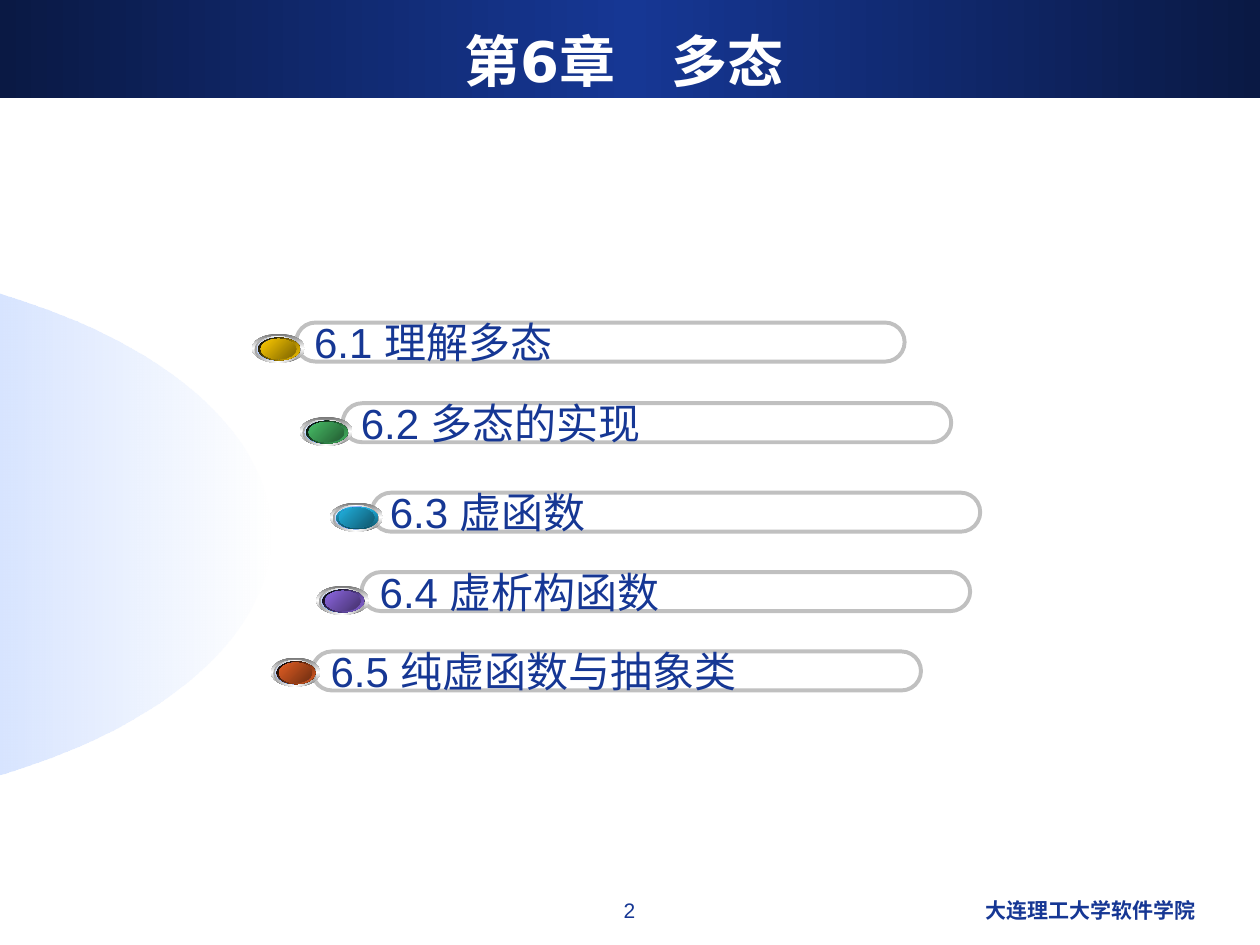
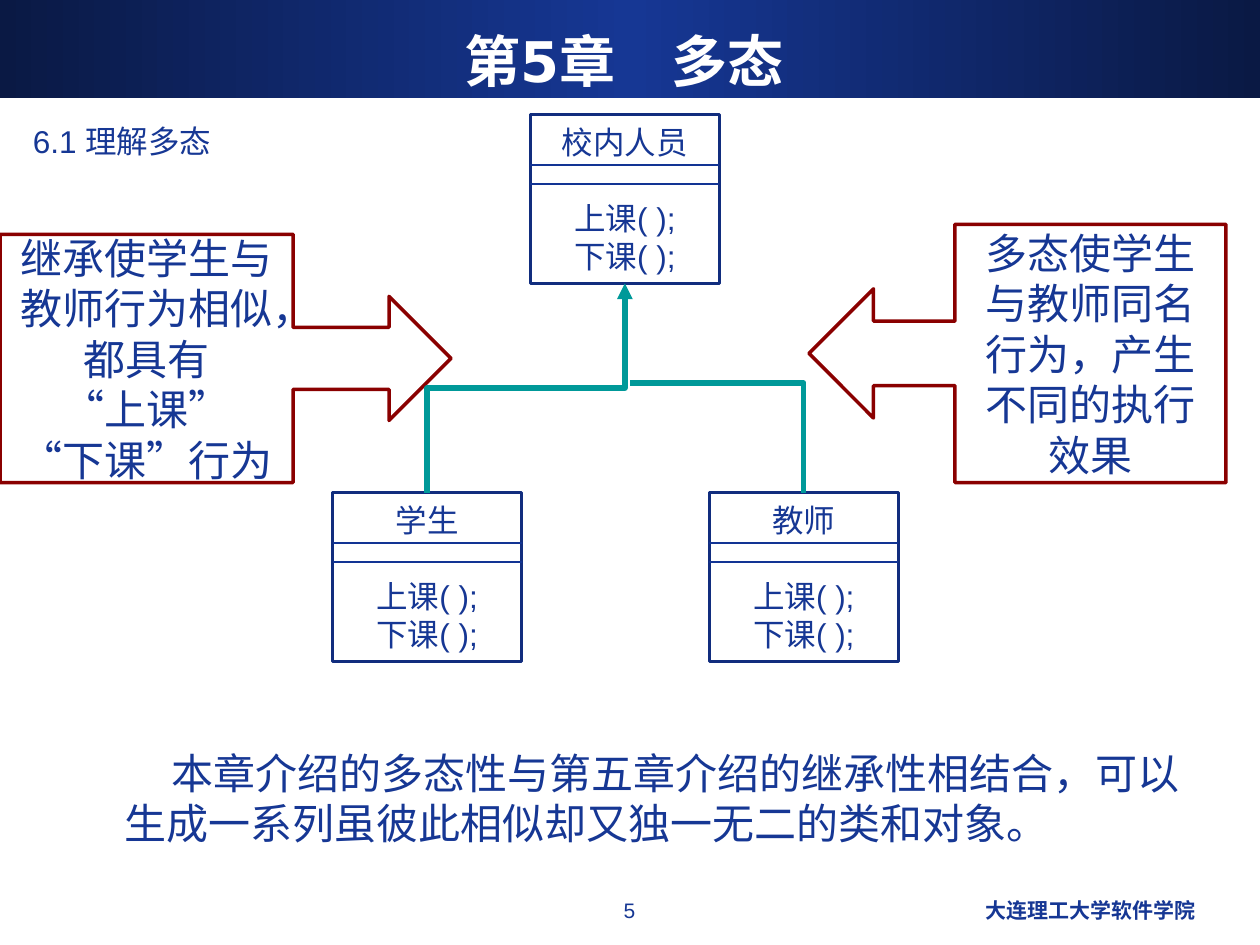
import math

from lxml import etree
from pptx import Presentation
from pptx.dml.color import RGBColor
from pptx.enum.shapes import MSO_CONNECTOR, MSO_SHAPE
from pptx.enum.text import MSO_ANCHOR, MSO_AUTO_SIZE, PP_ALIGN
from pptx.oxml.ns import qn
from pptx.util import Inches, Pt

LEFT, CENTER, RIGHT = PP_ALIGN.LEFT, PP_ALIGN.CENTER, PP_ALIGN.RIGHT
TOP, MIDDLE = MSO_ANCHOR.TOP, MSO_ANCHOR.MIDDLE
RECTANGLE, ELLIPSE = MSO_SHAPE.RECTANGLE, MSO_SHAPE.OVAL
PILL = MSO_SHAPE.ROUNDED_RECTANGLE
RIGHT_CALLOUT = MSO_SHAPE.RIGHT_ARROW_CALLOUT
LEFT_CALLOUT = MSO_SHAPE.LEFT_ARROW_CALLOUT
STRAIGHT, ELBOW = MSO_CONNECTOR.STRAIGHT, MSO_CONNECTOR.ELBOW
NO_AUTOFIT = MSO_AUTO_SIZE.NONE

TITLE_LAYOUT, CONTENT_LAYOUT = 5, 1
FONT, TITLE_FONT = "Arial", "DejaVu Sans"
COLORS = {
    "text": "163794", "navy": "0A1944", "white": "FFFFFF", "black": "000000",
    "sky": "6699FF", "sky_dark": "37538A", "steel": "767676",
    "silver": "A2A2A2", "pill": "C0C0C0", "callout": "8A0000",
    "class_box": "112D7E", "divider": "123494", "inherit": "009999",
    "yellow": "FFCC00", "yellow_dark": "7C6300",
    "green": "48BE67", "green_dark": "235C32",
    "cyan": "21B3E1", "cyan_dark": "10576D", "cyan_rim": "0F5368",
    "purple": "8D67E1", "purple_dark": "45326D",
    "orange": "E35E23", "orange_dark": "6E2E11",
}

# Text, pill left and top
SECTIONS = [
    ("6.1 理解多态", 2.35, 2.56),
    ("6.2 多态的实现", 2.72, 3.2),
    ("6.3 虚函数", 2.95, 3.91),
    ("6.4 虚析构函数", 2.87, 4.54),
    ("6.5 纯虚函数与抽象类", 2.48, 5.17),
]
# Colour, left, top, width, rim gradient and its angle
BUTTONS = [
    ("yellow", 2.0, 2.65, 0.42, ("black", "yellow"), 45),
    ("green", 2.38, 3.31, 0.42, ("black", "green"), 45),
    ("purple", 2.51, 4.65, 0.42, ("black", "purple"), 45),
    ("orange", 2.15, 5.22, 0.39, ("black", "orange"), 45),
    ("cyan", 2.62, 3.99, 0.42, ("cyan", "cyan_rim"), 90),
]


def color(name):
    return RGBColor.from_string(COLORS[name])


def fill_gradient(shape, names, angle, opacities=None):
    """Fill with evenly spaced colour stops, at an angle in degrees clockwise."""
    shape.fill.background()
    properties = shape.element.spPr
    no_fill = properties.find(qn("a:noFill"))
    gradient = etree.Element(qn("a:gradFill"), rotWithShape="1")
    stops = etree.SubElement(gradient, qn("a:gsLst"))
    for index, name in enumerate(names):
        position = 100000 * index // (len(names) - 1)
        stop = etree.SubElement(stops, qn("a:gs"), pos=str(position))
        value = etree.SubElement(stop, qn("a:srgbClr"), val=COLORS[name])
        if opacities:
            etree.SubElement(value, qn("a:alpha"),
                             val=str(opacities[index] * 1000))
    etree.SubElement(gradient, qn("a:lin"), ang=str(angle * 60000), scaled="0")
    properties.replace(no_fill, gradient)


def add_shape(shapes, kind, left, top, width, height,
              fill=None, line=None, line_width=2):
    shape = shapes.add_shape(kind, Inches(left), Inches(top),
                             Inches(width), Inches(height))
    shape.shadow.inherit = False
    if fill:
        shape.fill.solid()
        shape.fill.fore_color.rgb = color(fill)
    else:
        shape.fill.background()
    if line:
        shape.line.color.rgb = color(line)
        shape.line.width = Pt(line_width)
    else:
        shape.line.fill.background()
    return shape


def write_text(shape, lines, size, align=LEFT, anchor=MIDDLE, wrap=True,
               bold=False, font=FONT, text_color="text"):
    frame = shape.text_frame
    frame.auto_size = NO_AUTOFIT
    frame.word_wrap = wrap
    frame.vertical_anchor = anchor
    frame.text = "\n".join(lines)
    for paragraph in frame.paragraphs:
        paragraph.alignment = align
        paragraph.font.name = font
        paragraph.font.size = Pt(size)
        paragraph.font.bold = bold
        paragraph.font.color.rgb = color(text_color)
    return frame


def add_label(slide, text, left, top, width, height, size, align=LEFT,
              bold=False):
    box = slide.shapes.add_textbox(Inches(left), Inches(top),
                                   Inches(width), Inches(height))
    return write_text(box, [text], size, align, TOP, bold=bold)


def place(shape, left, top, width, height):
    shape.left, shape.top = Inches(left), Inches(top)
    shape.width, shape.height = Inches(width), Inches(height)


def add_connector(slide, kind, start, end, line, line_width):
    connector = slide.shapes.add_connector(
        kind, *[Inches(length) for length in (*start, *end)])
    connector.line.color.rgb = color(line)
    connector.line.width = Pt(line_width)
    etree.SubElement(connector.element.spPr, qn("a:effectLst"))
    return connector


def style_master(presentation, slide):
    """Place the title on the master and move a band drawn on slide behind it."""
    master = presentation.slide_master
    place(master.placeholders[0], 0.33, 0.17, 9.25, 0.62)
    band = add_shape(slide.shapes, RECTANGLE, 0, 0, 10, 0.78)
    fill_gradient(band, ("navy", "text", "navy"), 0)
    master.shapes.element.insert(2, band.element)


def add_slide(presentation, layout, title, number):
    slide = presentation.slides.add_slide(presentation.slide_layouts[layout])
    write_text(slide.shapes.title, [title], 32, CENTER, bold=True,
               font=TITLE_FONT, text_color="white")
    add_label(slide, number, 3.83, 7.07, 2.33, 0.35, 12, CENTER)
    add_label(slide, "大连理工大学软件学院", 6.42, 7.07, 3.17, 0.35, 12, RIGHT,
              bold=True)
    return slide


def add_half_ellipse(slide):
    """Draw the pale right half of an ellipse, cut by the slide's left edge."""
    center_x, center_y, radius_x, radius_y = -2.15, 4.24, 4.3, 2.2
    points = []
    for degrees in range(-90, 91, 2):
        angle = math.radians(degrees)
        points.append((Inches(center_x + radius_x * math.cos(angle)),
                       Inches(center_y + radius_y * math.sin(angle))))
    builder = slide.shapes.build_freeform(*points[0])
    builder.add_line_segments(points[1:], close=True)
    shape = builder.convert_to_shape()
    shape.shadow.inherit = False
    shape.line.fill.background()
    fill_gradient(shape, ("sky", "white"), 0, opacities=(56, 48))


def add_pill(slide, text, left, top):
    pill = add_shape(slide.shapes, PILL, left, top, 4.83, 0.31,
                     line="pill", line_width=2.25)
    pill.adjustments[0] = 0.5
    write_text(pill, [text], 24, wrap=False)


def add_button(slide, name, left, top, width, rim, rim_angle):
    """Stack shaded ellipses into one glossy button."""
    layers = [
        (0, 0, 0.42, 0.23, ("steel", "white", "steel"), 90),
        (0.02, 0.02, 0.37, 0.21, ("silver", "white", "silver"), 0),
        (0.04, 0.03, 0.33, 0.18, ("white", "sky", "white"), 45),
        (0.05, 0.03, 0.33, 0.18, rim, rim_angle),
        (0.07, 0.04, 0.28, 0.16, ("sky_dark", "sky", "sky_dark"), 315),
        (0.07, 0.04, 0.28, 0.16, (name, name + "_dark"), 45),
    ]
    scale = width / 0.42
    group = slide.shapes.add_group_shape()
    for x, y, layer_width, layer_height, stops, angle in layers:
        ellipse = add_shape(group.shapes, ELLIPSE, left + x * scale, top + y,
                            layer_width * scale, layer_height)
        fill_gradient(ellipse, stops, angle)


def add_class_box(slide, name, left, top):
    width = 1.5
    box = add_shape(slide.shapes, RECTANGLE, left, top, width, 1.34,
                    "white", "class_box")
    frame = write_text(box, [name, "上课( );", "下课( );"], 18, CENTER)
    frame.paragraphs[1].space_before = Pt(22)
    for offset in (0.4, 0.55):
        add_connector(slide, STRAIGHT, (left, top + offset),
                      (left + width, top + offset), "divider", 0.75)


def add_callout(slide, kind, lines, *bounds):
    callout = add_shape(slide.shapes, kind, *bounds, "white", "callout")
    write_text(callout, lines, 24, CENTER)


def add_upward_arrow(slide, start, end):
    """Draw an elbow arrow that leaves and arrives vertically."""
    center_x, center_y = (start[0] + end[0]) / 2, (start[1] + end[1]) / 2
    half_length, half_width = (start[1] - end[1]) / 2, (end[0] - start[0]) / 2
    arrow = add_connector(
        slide, ELBOW, (center_x + half_length, center_y + half_width),
        (center_x - half_length, center_y - half_width), "inherit", 3)
    arrow.element.spPr.find(qn("a:xfrm")).set("rot", str(90 * 60000))
    etree.SubElement(arrow.line._get_or_add_ln(), qn("a:tailEnd"),
                     type="triangle")


def add_corner_line(slide, start, end):
    """Draw a line that runs across and then down."""
    corner = add_connector(slide, ELBOW, start, end, "inherit", 3)
    corner.element.spPr.find(qn("a:prstGeom")).set("prst", "bentConnector2")


def add_summary(slide, text):
    body = slide.placeholders[1]
    place(body, 0.51, 5.88, 9.13, 1.12)
    frame = write_text(body, [text], 24, anchor=TOP)
    paragraph = frame.paragraphs[0]
    properties = paragraph._p.get_or_add_pPr()
    properties.set("marL", str(Inches(0.38)))
    properties.set("indent", str(Inches(0.37)))
    properties.insert(0, etree.Element(qn("a:buNone")))
    paragraph.space_before = Pt(0)


def fill_contents_slide(slide):
    add_half_ellipse(slide)
    for section in reversed(SECTIONS):
        add_pill(slide, *section)
    for button in BUTTONS:
        add_button(slide, *button)


def fill_polymorphism_slide(slide):
    add_summary(slide, "本章介绍的多态性与第五章介绍的继承性相结合，"
                       "可以生成一系列虽彼此相似却又独一无二的类和对象。")
    heading = add_label(slide, "6.1 理解多态", 0.02, 0.92, 9.25, 0.41, 18)
    heading.margin_left = Inches(0.24)
    add_callout(slide, RIGHT_CALLOUT,
                ["继承使学生与教师行为相似，都具有", "“上课”", "“下课”行为"],
                0, 1.86, 3.58, 1.97)
    add_class_box(slide, "校内人员", 4.21, 0.91)
    add_class_box(slide, "学生", 2.64, 3.91)
    add_class_box(slide, "教师", 5.63, 3.91)
    add_upward_arrow(slide, (3.39, 3.91), (4.96, 2.25))
    add_corner_line(slide, (5, 3.04), (6.38, 3.91))
    add_callout(slide, LEFT_CALLOUT,
                ["多态使学生与教师同名行为，产生不同的执行效果"],
                6.42, 1.78, 3.31, 2.05)


def main():
    presentation = Presentation()
    presentation.slide_width = Inches(10)
    presentation.slide_height = Inches(7.5)
    contents = add_slide(presentation, TITLE_LAYOUT, "第6章　多态", "2")
    style_master(presentation, contents)
    fill_contents_slide(contents)
    polymorphism = add_slide(presentation, CONTENT_LAYOUT, "第5章　多态", "5")
    fill_polymorphism_slide(polymorphism)
    presentation.save("out.pptx")


if __name__ == "__main__":
    main()
